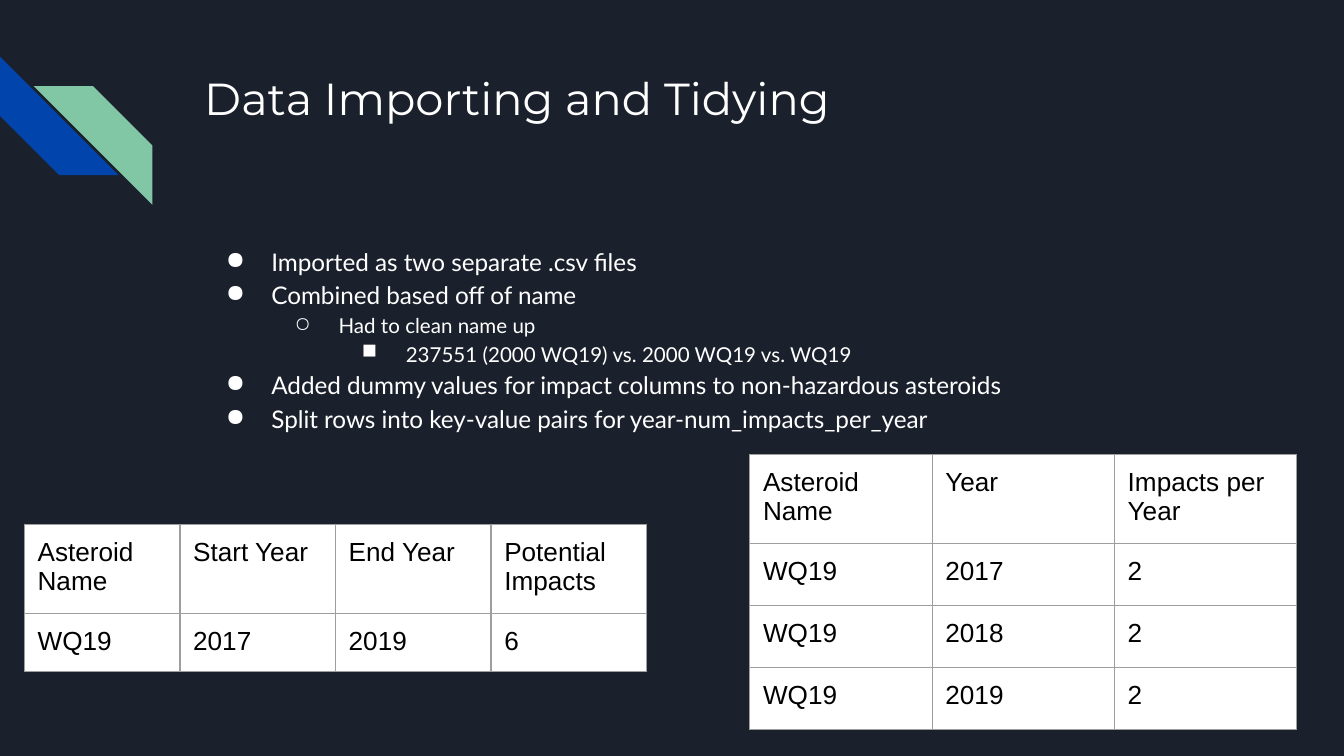
from dataclasses import dataclass

from lxml import etree
from pptx import Presentation
from pptx.dml.color import RGBColor
from pptx.enum.shapes import MSO_SHAPE
from pptx.enum.text import MSO_ANCHOR, MSO_AUTO_SIZE, PP_ALIGN
from pptx.oxml.ns import qn
from pptx.util import Cm, Pt

STRIPE = MSO_SHAPE.DIAGONAL_STRIPE
TOP = MSO_ANCHOR.TOP
LEFT = PP_ALIGN.LEFT
NO_AUTOFIT = MSO_AUTO_SIZE.NONE
TITLE_ONLY = 5


@dataclass(frozen=True)
class Theme:
    background: str = "1B212C"
    blue: str = "0145AC"
    green: str = "82C7A5"
    light: str = "FFFFFF"
    dark: str = "000000"
    border: str = "9E9E9E"
    title_font: str = "Montserrat"
    body_font: str = "Lato"
    table_font: str = "Arial"
    title_size: int = 24
    bullet_sizes: tuple = (13, 11, 11)
    table_size: int = 14


THEME = Theme()
INSET = Cm(0.25)
BULLETS = "●○■"
HANGING = (0.86, 0.83, 0.83)
POINTS = [
    (0, "Imported as two separate .csv files"),
    (0, "Combined based off of name"),
    (1, "Had to clean name up"),
    (2, "237551 (2000 WQ19) vs. 2000 WQ19 vs. WQ19"),
    (0, "Added dummy values for impact columns to non-hazardous asteroids"),
    (0, "Split rows into key-value pairs for year-num_impacts_per_year"),
]
WIDE_ROWS = [
    ("Asteroid Name", "Start Year", "End Year", "Potential Impacts"),
    ("WQ19", "2017", "2019", "6"),
]
LONG_ROWS = [("Asteroid Name", "Year", "Impacts per Year")] + [
    ("WQ19", str(year), "2") for year in range(2017, 2020)
]


def write_text(paragraph, text, *, font, size, color, spacing=1.0):
    paragraph.alignment = LEFT
    paragraph.line_spacing = spacing
    run = paragraph.add_run()
    run.text = text
    run.font.name = font
    run.font.size = Pt(size)
    run.font.color.rgb = RGBColor.from_string(color)


def set_insets(target):
    target.margin_left = target.margin_right = INSET
    target.margin_top = target.margin_bottom = INSET
    target.vertical_anchor = TOP


def set_bullet(paragraph, level):
    paragraph.level = level
    properties = paragraph._p.get_or_add_pPr()
    properties.set("marL", str(Cm(1.27 * (level + 1))))
    properties.set("indent", str(-Cm(HANGING[level])))
    color = etree.SubElement(properties, qn("a:buClr"))
    etree.SubElement(color, qn("a:srgbClr"), val=THEME.light)
    etree.SubElement(properties, qn("a:buChar"), char=BULLETS[level])


def set_borders(cell):
    properties = cell._tc.get_or_add_tcPr()
    for position, side in enumerate(("a:lnL", "a:lnR", "a:lnT", "a:lnB")):
        line = etree.Element(qn(side), w=str(Pt(0.75)))
        fill = etree.SubElement(line, qn("a:solidFill"))
        etree.SubElement(fill, qn("a:srgbClr"), val=THEME.border)
        properties.insert(position, line)


def add_stripe(slide, left, top, size, color):
    shape = slide.shapes.add_shape(STRIPE, left, top, size, size)
    shape.shadow.inherit = False
    shape.fill.solid()
    shape.fill.fore_color.rgb = RGBColor.from_string(color)
    shape.line.fill.background()
    return shape


def add_stripes(slide, left, top, size):
    blue = add_stripe(slide, left, top, size, THEME.blue)
    blue.rotation = 270
    green = add_stripe(slide, left + Cm(0.64), top + Cm(0.56), size, THEME.green)
    green._element.spPr.xfrm.set("flipH", "1")


def place_title(slide, text, left, top, width, height):
    title = slide.shapes.title
    title.left, title.top, title.width, title.height = left, top, width, height
    frame = title.text_frame
    frame.auto_size = NO_AUTOFIT
    set_insets(frame)
    write_text(frame.paragraphs[0], text, font=THEME.title_font,
               size=THEME.title_size, color=THEME.light)


def add_points(slide, points, left, top, width, height):
    frame = slide.shapes.add_textbox(left, top, width, height).text_frame
    frame.word_wrap = True
    set_insets(frame)
    for index, (level, text) in enumerate(points):
        paragraph = frame.add_paragraph() if index else frame.paragraphs[0]
        write_text(paragraph, text, font=THEME.body_font,
                   size=THEME.bullet_sizes[level], color=THEME.light, spacing=1.15)
        set_bullet(paragraph, level)


def add_data_table(slide, rows, left, top, width, header_height, row_height):
    height = header_height + row_height * (len(rows) - 1)
    table = slide.shapes.add_table(
        len(rows), len(rows[0]), left, top, width, height).table
    table.first_row = table.horz_banding = False
    for index, values in enumerate(rows):
        table.rows[index].height = row_height if index else header_height
        for column, text in enumerate(values):
            cell = table.cell(index, column)
            set_insets(cell)
            cell.fill.solid()
            cell.fill.fore_color.rgb = RGBColor.from_string(THEME.light)
            set_borders(cell)
            write_text(cell.text_frame.paragraphs[0], text, font=THEME.table_font,
                       size=THEME.table_size, color=THEME.dark)


def main():
    presentation = Presentation()
    presentation.slide_width = Cm(25.4)
    presentation.slide_height = Cm(14.29)
    slide = presentation.slides.add_slide(presentation.slide_layouts[TITLE_ONLY])
    slide.background.fill.solid()
    slide.background.fill.fore_color.rgb = RGBColor.from_string(THEME.background)

    add_stripes(slide, Cm(0), Cm(1.07), Cm(2.24))
    place_title(slide, "Data Importing and Tidying",
                Cm(3.61), Cm(1.09), Cm(19.56), Cm(2.54))
    add_points(slide, POINTS, Cm(3.61), Cm(4.34), Cm(19.56), Cm(8.08))
    add_data_table(slide, WIDE_ROWS, Cm(0.46), Cm(9.91), Cm(11.76), Cm(1.6), Cm(1.07))
    add_data_table(slide, LONG_ROWS, Cm(14.17), Cm(8.59), Cm(10.34), Cm(1.68), Cm(1.17))
    presentation.save("out.pptx")


if __name__ == "__main__":
    main()
